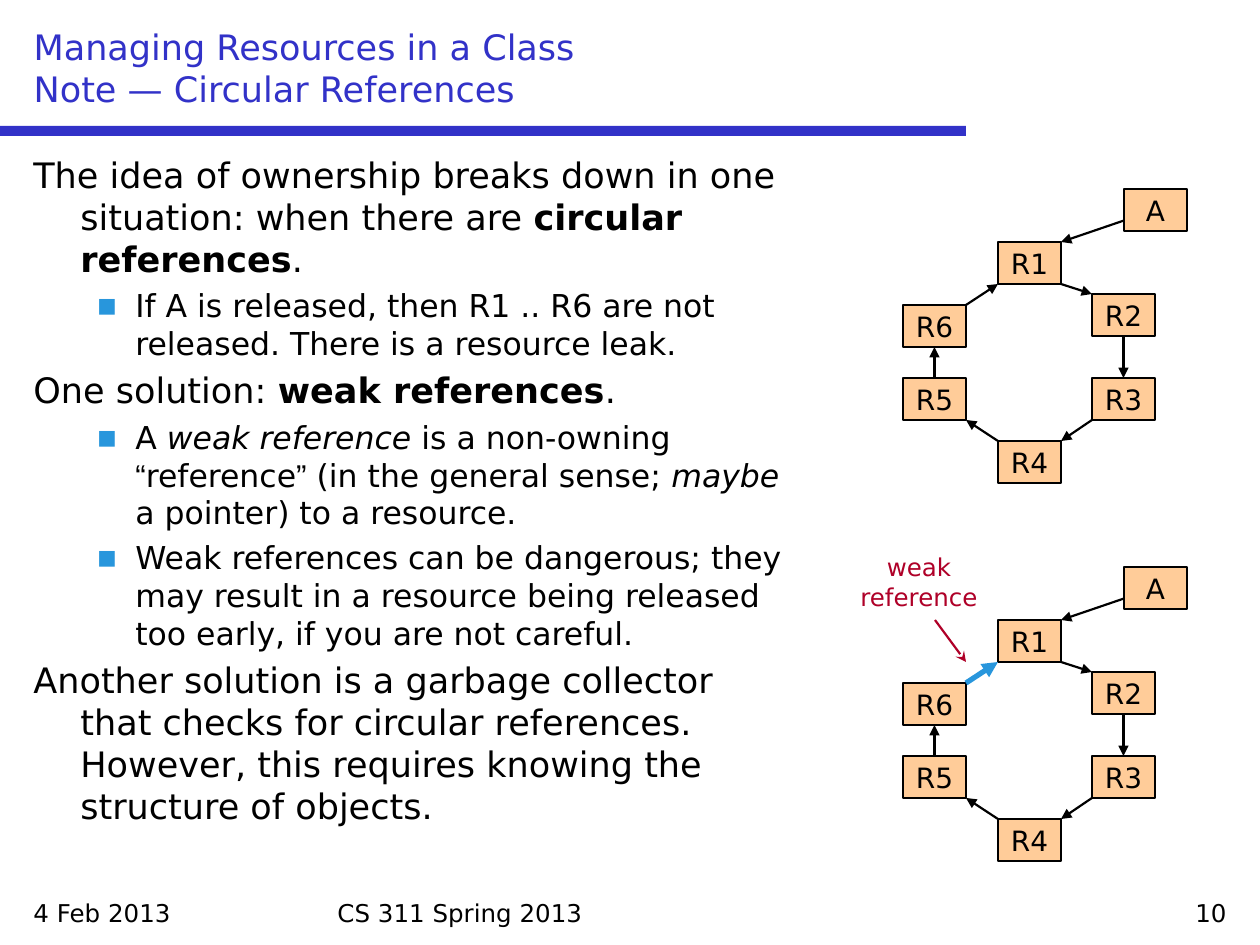
from lxml import etree
from pptx import Presentation
from pptx.dml.color import RGBColor
from pptx.enum.shapes import MSO_CONNECTOR, MSO_SHAPE
from pptx.enum.text import MSO_ANCHOR, MSO_AUTO_SIZE, PP_ALIGN
from pptx.oxml.ns import qn
from pptx.util import Pt

RECTANGLE, STRAIGHT = MSO_SHAPE.RECTANGLE, MSO_CONNECTOR.STRAIGHT
LEFT, CENTER, RIGHT = PP_ALIGN.LEFT, PP_ALIGN.CENTER, PP_ALIGN.RIGHT
TOP, MIDDLE, BOTTOM = MSO_ANCHOR.TOP, MSO_ANCHOR.MIDDLE, MSO_ANCHOR.BOTTOM
NO_AUTOFIT = MSO_AUTO_SIZE.NONE

FONT, QUOTE_FONT = "DejaVu Sans", "Arial"
COLORS = {"title": "3232C8", "text": "000000", "accent": "2896DC",
          "node": "FFCC99", "weak": "AF0028"}
EMU_PER_PIXEL = 914400 / 126

TITLE = "Managing Resources in a Class\vNote — Circular References"

# (level, [(text, style), ...])
BODY = [
    (0, [("The idea of ownership breaks down in one situation: when there are ", ""),
         ("circular references", "bold"), (".", "")]),
    (1, [("If A is released, then R1 .. R6 are not released. "
          "There is a resource leak.", "")]),
    (0, [("One solution: ", ""), ("weak references", "bold"), (".", "")]),
    (1, [("A ", ""), ("weak reference", "italic"), (" is a non-owning ", ""),
         ("“", "quote"), ("reference", ""), ("”", "quote"),
         (" (in the general sense; ", ""), ("maybe", "italic"),
         (" a pointer) to a resource.", "")]),
    (1, [("Weak references can be dangerous; they may result in a resource "
          "being released too early, if you are not careful.", "")]),
    (0, [("Another solution is a garbage collector that checks for circular "
          "references. However, this requires knowing the structure of objects.", "")]),
]
# level: (font size, left margin, first-line indent)
LEVELS = {0: (20, 47, -47), 1: (18, 102, -39)}

# (text, box, size, alignment, color)
LABELS = [
    ("4 Feb 2013", (21, 892, 294, 42), 14, LEFT, "text"),
    ("CS 311 Spring 2013", (325, 892, 609, 42), 14, LEFT, "text"),
    ("10", (945, 892, 294, 42), 14, RIGHT, "text"),
    ("weak reference", (840, 546, 158, 73), 14, CENTER, "weak"),
]

NODE_SIZE = (63, 42)
NODES = {"A": (1124, 189), "R1": (998, 242), "R2": (1092, 294), "R3": (1092, 378),
         "R4": (998, 441), "R5": (903, 378), "R6": (903, 305)}
# (source, target, source anchor, target anchor); anchors are fractions of a node
EDGES = [
    ("A", "R1", (0, 0.75), (1, 0)),
    ("R1", "R2", (1, 1), (0, 0)),
    ("R2", "R3", (0.5, 1), (0.5, 0)),
    ("R3", "R4", (0, 1), (1, 0)),
    ("R4", "R5", (0, 0), (1, 1)),
    ("R5", "R6", (0.5, 0), (0.5, 1)),
    ("R6", "R1", (1, 0), (0, 1)),
]
# (vertical offset, weak edges)
DIAGRAMS = [(0, []), (378, [("R6", "R1")])]
WEAK_POINTER = ((935, 620), (966, 662))


def emu(*pixels):
    """Turn pixel lengths into EMU."""
    return [round(pixel * EMU_PER_PIXEL) for pixel in pixels]


def rgb(name):
    """Look up a named color."""
    return RGBColor.from_string(COLORS[name])


def format_runs(paragraph, size, color="text"):
    """Give all runs of a paragraph the slide font."""
    for run in paragraph.runs:
        run.font.name, run.font.size = FONT, Pt(size)
        run.font.color.rgb = rgb(color)


def write(shape, text, size, alignment=LEFT, color="text", anchor=TOP, wrap=True):
    """Put plain text into a shape."""
    frame = shape.text_frame
    frame.text = text
    frame.auto_size, frame.word_wrap, frame.vertical_anchor = NO_AUTOFIT, wrap, anchor
    for paragraph in frame.paragraphs:
        paragraph.alignment = alignment
        format_runs(paragraph, size, color)


def add_rectangle(slide, box, fill):
    """Draw a filled rectangle without a line."""
    shape = slide.shapes.add_shape(RECTANGLE, *emu(*box))
    shape.shadow.inherit = False
    shape.fill.solid()
    shape.fill.fore_color.rgb = rgb(fill)
    shape.line.fill.background()
    return shape


def add_arrow(slide, start, end, color="text", width=1.25, head="triangle"):
    """Draw a straight arrow from start to end."""
    arrow = slide.shapes.add_connector(STRAIGHT, *emu(*start, *end))
    arrow.line.color.rgb, arrow.line.width = rgb(color), Pt(width)
    etree.SubElement(arrow.line._get_or_add_ln(), qn("a:tailEnd"), type=head)
    etree.SubElement(arrow._element.spPr, qn("a:effectLst"))


def add_bullet(properties):
    """Add a colored square bullet to paragraph properties."""
    color = etree.SubElement(properties, qn("a:buClr"))
    etree.SubElement(color, qn("a:srgbClr"), val=COLORS["accent"])
    etree.SubElement(properties, qn("a:buFont"), typeface=FONT)
    etree.SubElement(properties, qn("a:buChar"), char="▪")


def add_body(slide):
    """Write the outline text."""
    frame = slide.shapes.add_textbox(*emu(21, 147, 777, 735)).text_frame
    frame.word_wrap = True
    for index, (level, pieces) in enumerate(BODY):
        paragraph = frame.add_paragraph() if index else frame.paragraphs[0]
        size, margin, indent = LEVELS[level]
        paragraph.level, paragraph.space_before = level, Pt(4)
        properties = paragraph._p.get_or_add_pPr()
        for name, length in zip(("marL", "indent"), emu(margin, indent)):
            properties.set(name, str(length))
        if level:
            add_bullet(properties)
        for text, _ in pieces:
            paragraph.add_run().text = text
        format_runs(paragraph, size)
        for run, (_, style) in zip(paragraph.runs, pieces):
            run.font.bold, run.font.italic = style == "bold", style == "italic"
            if style == "quote":
                run.font.name = QUOTE_FONT


def anchor_point(node, fractions, offset):
    """Find a point on a node's outline."""
    x, y = (start + part * length
            for start, part, length in zip(NODES[node], fractions, NODE_SIZE))
    return x, y + offset


def add_diagram(slide, offset, weak_edges):
    """Draw one reference cycle."""
    for name, (left, top) in NODES.items():
        node = add_rectangle(slide, (left, top + offset, *NODE_SIZE), "node")
        node.line.color.rgb, node.line.width = rgb("text"), Pt(1.25)
        write(node, name, 16, CENTER, anchor=MIDDLE, wrap=False)
    for source, target, leave, arrive in EDGES:
        weak = (source, target) in weak_edges
        add_arrow(slide, anchor_point(source, leave, offset),
                  anchor_point(target, arrive, offset),
                  "accent" if weak else "text", 3 if weak else 1.25)


presentation = Presentation()
presentation.slide_width, presentation.slide_height = emu(1260, 945)
slide = presentation.slides.add_slide(presentation.slide_layouts[5])

title = slide.shapes.title
title.left, title.top, title.width, title.height = emu(21, 21, 1218, 95)
write(title, TITLE, 20, color="title", anchor=BOTTOM)
add_rectangle(slide, (0, 126, 966, 10), "title")
add_body(slide)
for text, box, size, alignment, color in LABELS:
    write(slide.shapes.add_textbox(*emu(*box)), text, size, alignment, color)
for offset, weak_edges in DIAGRAMS:
    add_diagram(slide, offset, weak_edges)
add_arrow(slide, *WEAK_POINTER, color="weak", head="stealth")

presentation.save("out.pptx")
